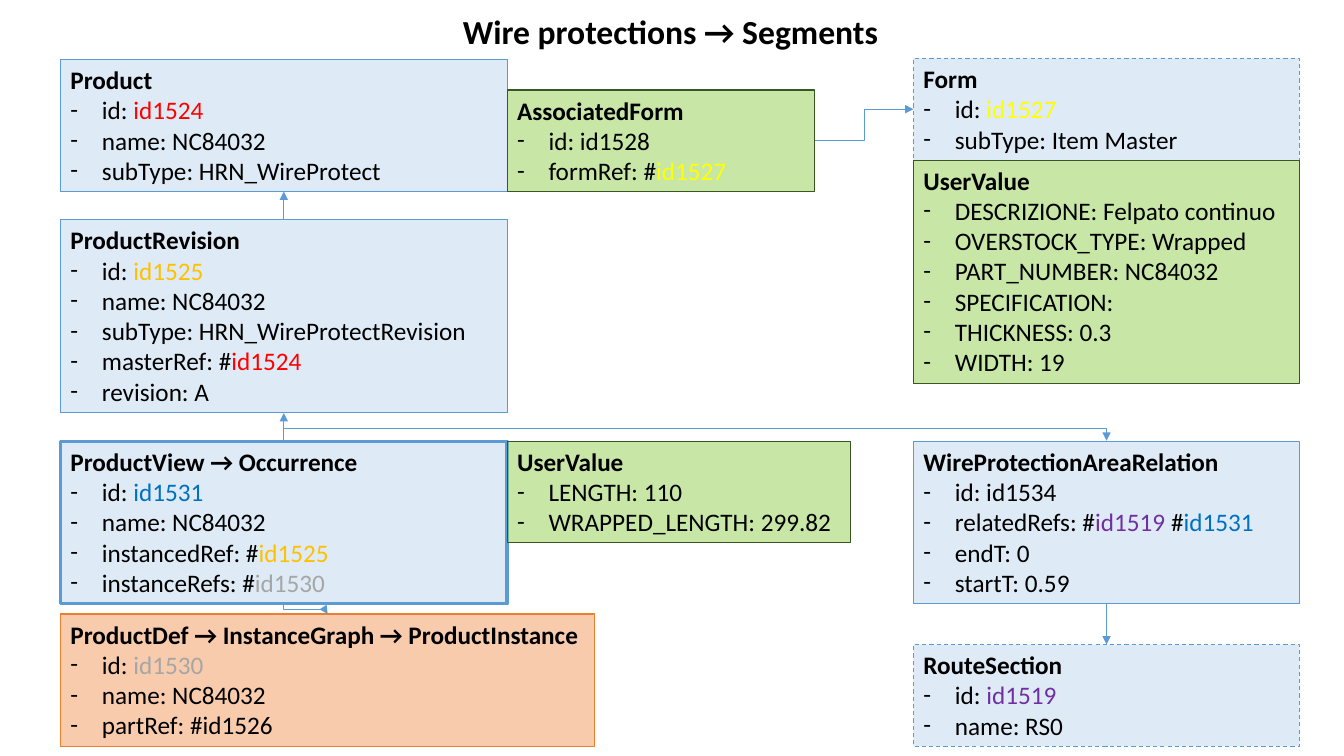
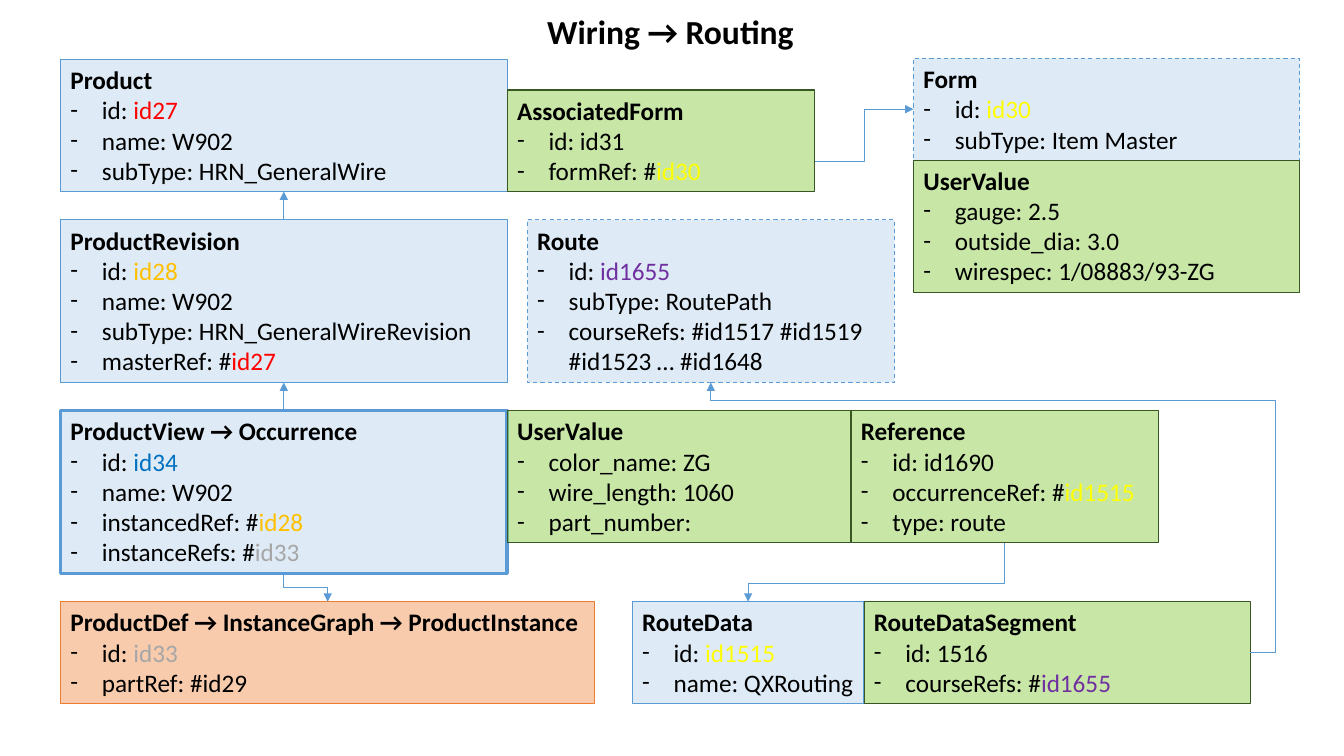
from math import ceil

from lxml.etree import SubElement
from pptx import Presentation
from pptx.dml.color import RGBColor
from pptx.enum.dml import MSO_LINE
from pptx.enum.shapes import MSO_CONNECTOR, MSO_SHAPE
from pptx.enum.text import MSO_ANCHOR, MSO_AUTO_SIZE, PP_ALIGN
from pptx.oxml.ns import qn
from pptx.util import Inches, Pt

# Shared grid, in inches: card columns and text rows
WIDTH, HEIGHT = 13.33, 7.5
LEFT, MIDDLE, RIGHT = 0.6, 5.03, 9.06
MAIN, ASSOCIATED, VALUES, SIDE, DEFINITION = MIDDLE - LEFT, 3.05, 3.41, 3.83, 5.3
ROW, PADDING, GAP = 21.8 / 72, 0.1, 0.28
CHARACTER, ITEM_MARGIN = 0.1, 0.5
TOP = 0.59
FONT = "Calibri"
BLACK, BLUE = "000000", "5B9BD5"
RED, AMBER, YELLOW = "FF0000", "FFC000", "FFFF00"
AZURE, PURPLE, GREY = "0070C0", "7030A0", "A6A6A6"

# Card styles: fill, opacity in percent, outline, outline width, dash
STYLES = {
    "entity": (BLUE, 20, BLUE, 0.75, None),
    "focus": (BLUE, 20, BLUE, 2.25, None),
    "external": (BLUE, 20, BLUE, 0.75, MSO_LINE.DASH),
    "attribute": ("92D050", 50, "385723", 0.75, None),
    "instance": ("F8CBAD", 100, "ED7D31", 0.75, None),
}

# Connection sites of a card, as shares of its width and height
SITES = [(0.5, 0), (0, 0.5), (0.5, 1), (1, 0.5)]
NORTH, WEST, SOUTH, EAST = range(4)

# Cards: key, style, left, width, placement, heading, lines with |coloured ids|.
# Placement: a top, or (relation, other card, gap).
# Links: begin, site, end, site, bends in percent (none if straight), start drop.
DIAGRAMS = [
    {
        "title": "Wire protections → Segments",
        "ids": {"id1524": RED, "id1525": AMBER, "id1527": YELLOW,
                "id1531": AZURE, "id1530": GREY, "id1519": PURPLE},
        "cards": [
            ("product", "entity", LEFT, MAIN, TOP, "Product",
             ["id: |id1524|", "name: NC84032", "subType: HRN_WireProtect"]),
            ("associated", "attribute", MIDDLE, ASSOCIATED, ("foot", "product", 0),
             "AssociatedForm", ["id: id1528", "formRef: #|id1527|"]),
            ("form", "external", RIGHT, SIDE, 0.58, "Form",
             ["id: |id1527|", "subType: Item Master"]),
            ("form values", "attribute", RIGHT, SIDE, ("under", "form", 0), "UserValue",
             ["DESCRIZIONE: Felpato continuo", "OVERSTOCK_TYPE: Wrapped",
              "PART_NUMBER: NC84032", "SPECIFICATION:", "THICKNESS: 0.3", "WIDTH: 19"]),
            ("revision", "entity", LEFT, MAIN, ("under", "product", GAP), "ProductRevision",
             ["id: |id1525|", "name: NC84032", "subType: HRN_WireProtectRevision",
              "masterRef: #|id1524|", "revision: A"]),
            ("view", "focus", LEFT, MAIN, ("under", "revision", GAP),
             "ProductView → Occurrence",
             ["id: |id1531|", "name: NC84032", "instancedRef: #|id1525|",
              "instanceRefs: #|id1530|"]),
            ("view values", "attribute", MIDDLE, VALUES, ("level", "view", 0), "UserValue",
             ["LENGTH: 110", "WRAPPED_LENGTH: 299.82"]),
            ("definition", "instance", LEFT, DEFINITION, ("under", "view", 0.1),
             "ProductDef → InstanceGraph → ProductInstance",
             ["id: |id1530|", "name: NC84032", "partRef: #id1526"]),
            ("relation", "entity", RIGHT, SIDE, ("level", "view", 0),
             "WireProtectionAreaRelation",
             ["id: id1534", "relatedRefs: #|id1519| #|id1531|", "endT: 0",
              "startT: 0.59"]),
            ("section", "external", RIGHT, SIDE, ("foot", "definition", 0), "RouteSection",
             ["id: |id1519|", "name: RS0"]),
        ],
        "links": [
            ("revision", NORTH, "product", SOUTH, [], 0),
            ("view", NORTH, "revision", SOUTH, [], 0),
            ("view", NORTH, "relation", NORTH, [1300], 0),
            ("relation", SOUTH, "section", NORTH, [], 0),
            ("associated", EAST, "form", WEST, [50], 0),
            ("view", SOUTH, "definition", NORTH, [50], 0),
        ],
    },
    {
        "title": "Wiring → Routing",
        "ids": {"id27": RED, "id28": AMBER, "id30": YELLOW, "id34": AZURE,
                "id33": GREY, "id1515": YELLOW, "id1655": PURPLE},
        "cards": [
            ("product", "entity", LEFT, MAIN, TOP, "Product",
             ["id: |id27|", "name: W902", "subType: HRN_GeneralWire"]),
            ("associated", "attribute", MIDDLE, ASSOCIATED, ("foot", "product", 0),
             "AssociatedForm", ["id: id31", "formRef: #|id30|"]),
            ("form", "external", RIGHT, SIDE, 0.58, "Form",
             ["id: |id30|", "subType: Item Master"]),
            ("form values", "attribute", RIGHT, SIDE, ("under", "form", 0), "UserValue",
             ["gauge: 2.5", "outside_dia: 3.0", "wirespec: 1/08883/93-ZG"]),
            ("revision", "entity", LEFT, MAIN, ("under", "product", GAP), "ProductRevision",
             ["id: |id28|", "name: W902", "subType: HRN_GeneralWireRevision",
              "masterRef: #|id27|"]),
            ("view", "focus", LEFT, MAIN, ("under", "revision", GAP),
             "ProductView → Occurrence",
             ["id: |id34|", "name: W902", "instancedRef: #|id28|",
              "instanceRefs: #|id33|"]),
            ("definition", "instance", LEFT, DEFINITION, ("under", "view", GAP),
             "ProductDef → InstanceGraph → ProductInstance",
             ["id: |id33|", "partRef: #id29"]),
            ("view values", "attribute", MIDDLE, VALUES, ("level", "view", 0), "UserValue",
             ["color_name: ZG", "wire_length: 1060", "part_number:"]),
            ("reference", "attribute", MIDDLE + VALUES, ASSOCIATED, ("level", "view", 0),
             "Reference", ["id: id1690", "occurrenceRef: #|id1515|", "type: route"]),
            ("route data", "entity", 6.27, 2.3, ("level", "definition", 0), "RouteData",
             ["id: |id1515|", "name: QXRouting"]),
            ("segment", "attribute", 8.57, SIDE, ("level", "definition", 0),
             "RouteDataSegment", ["id: 1516", "courseRefs: #|id1655|"]),
            ("route", "external", 5.23, 3.64, ("level", "revision", 0), "Route",
             ["id: |id1655|", "subType: RoutePath",
              "courseRefs: #id1517 #id1519 #id1523 … #id1648"]),
        ],
        "links": [
            ("associated", EAST, "form", WEST, [50], 0.2),
            ("revision", NORTH, "product", SOUTH, [], 0),
            ("view", NORTH, "revision", SOUTH, [], 0),
            ("view", SOUTH, "definition", NORTH, [50], 0),
            ("reference", SOUTH, "route data", NORTH, [69.1], 0),
            ("segment", EAST, "route", SOUTH, [-4.7, 93.5], 0),
        ],
    },
]


def colour(hex_string):
    return RGBColor.from_string(hex_string)


def add_run(paragraph, text, size, hex_string=BLACK, bold=False):
    run = paragraph.add_run()
    run.text = text
    run.font.name, run.font.size, run.font.bold = FONT, Pt(size), bold
    run.font.color.rgb = colour(hex_string)


deck = Presentation()
deck.slide_width, deck.slide_height = Inches(WIDTH), Inches(HEIGHT)

for diagram in DIAGRAMS:
    slide = deck.slides.add_slide(deck.slide_layouts[5])

    # Title
    title = slide.shapes.title
    title.left, title.top = Inches(0.06), Inches(0.06)
    title.width, title.height = Inches(WIDTH - 0.15), Inches(0.5)
    title.text_frame.auto_size = MSO_AUTO_SIZE.NONE
    title.text_frame.vertical_anchor = MSO_ANCHOR.TOP
    heading_line = title.text_frame.paragraphs[0]
    heading_line.alignment = PP_ALIGN.CENTER
    add_run(heading_line, diagram["title"], 24, bold=True)

    # Cards, with a row for the heading and for each line, wrapped ones included
    cards = {}
    for key, style, left, width, placement, heading, lines in diagram["cards"]:
        rows = 1 + sum(ceil(len(line.replace("|", "")) * CHARACTER
                            / (width - ITEM_MARGIN)) for line in lines)
        height = Inches(PADDING + ROW * rows)
        if isinstance(placement, tuple):
            relation, other, gap = placement
            anchor = cards[other]
            top = anchor.top + Inches(gap)
            if relation != "level":
                top += anchor.height
            if relation == "foot":
                top -= height
        else:
            top = Inches(placement)
        card = slide.shapes.add_shape(
            MSO_SHAPE.RECTANGLE, Inches(left), top, Inches(width), height)
        cards[key] = card
        card.shadow.inherit = False
        fill, opacity, outline, weight, dash = STYLES[style]
        card.fill.solid()
        card.fill.fore_color.rgb = colour(fill)
        if opacity < 100:
            tint = card._element.spPr.find(qn("a:solidFill"))[0]
            SubElement(tint, qn("a:alpha"), val=str(opacity * 1000))
        card.line.color.rgb = colour(outline)
        card.line.width = Pt(weight)
        if dash:
            card.line.dash_style = dash

        # Heading, then dashed lines with coloured ids
        frame = card.text_frame
        frame.word_wrap = True
        frame.auto_size = MSO_AUTO_SIZE.SHAPE_TO_FIT_TEXT
        frame.vertical_anchor = MSO_ANCHOR.TOP
        frame.paragraphs[0].alignment = PP_ALIGN.LEFT
        add_run(frame.paragraphs[0], heading, 18, bold=True)
        for line in lines:
            item = frame.add_paragraph()
            item.alignment = PP_ALIGN.LEFT
            properties = item._p.get_or_add_pPr()
            properties.set("marL", str(Pt(22.5)))
            properties.set("indent", str(-Pt(22.5)))
            SubElement(properties, qn("a:buFont"), typeface=FONT)
            SubElement(properties, qn("a:buChar"), char="-")
            for part in filter(None, line.split("|")):
                add_run(item, part, 18, diagram["ids"].get(part, BLACK))

    # Links
    for begin, begin_site, end, end_site, bends, drop in diagram["links"]:
        (x1, y1), (x2, y2) = [
            (int(cards[key].left + cards[key].width * SITES[site][0]),
             int(cards[key].top + cards[key].height * SITES[site][1]))
            for key, site in ((begin, begin_site), (end, end_site))]
        y1 += Inches(drop)
        kind = MSO_CONNECTOR.ELBOW if bends else MSO_CONNECTOR.STRAIGHT
        link = slide.shapes.add_connector(kind, x1, y1, x2, y2)
        if not drop:
            link.begin_connect(cards[begin], begin_site)
        link.end_connect(cards[end], end_site)
        link.line.color.rgb = colour(BLUE)
        link.line.width = Pt(0.5)
        drawing = link._element.spPr
        SubElement(link.line._get_or_add_ln(), qn("a:tailEnd"), type="triangle")
        SubElement(drawing, qn("a:effectLst"))
        if not bends:
            continue

        # Bends: shares of the way, along the axis on which the link sets out
        geometry = drawing.find(qn("a:prstGeom"))
        geometry.set("prst", f"bentConnector{len(bends) + 2}")
        guides = geometry.find(qn("a:avLst"))
        for number, bend in enumerate(bends, 1):
            SubElement(guides, qn("a:gd"), name=f"adj{number}",
                       fmla=f"val {round(bend * 1000)}")
        if begin_site in (NORTH, SOUTH):
            # A link that sets out vertically is a quarter turn of a level one
            across, down = x2 - x1, (y2 - y1) or -Inches(0.01)
            link.width, link.height = abs(down), abs(across)
            link.left = (x1 + x2 - abs(down)) // 2
            link.top = (y1 + y2 - abs(across)) // 2
            turn = drawing.find(qn("a:xfrm"))
            turn.set("rot", str(90 * 60000))
            turn.set("flipH", str(int(down < 0)))
            turn.set("flipV", str(int(across > 0)))

deck.save("out.pptx")
